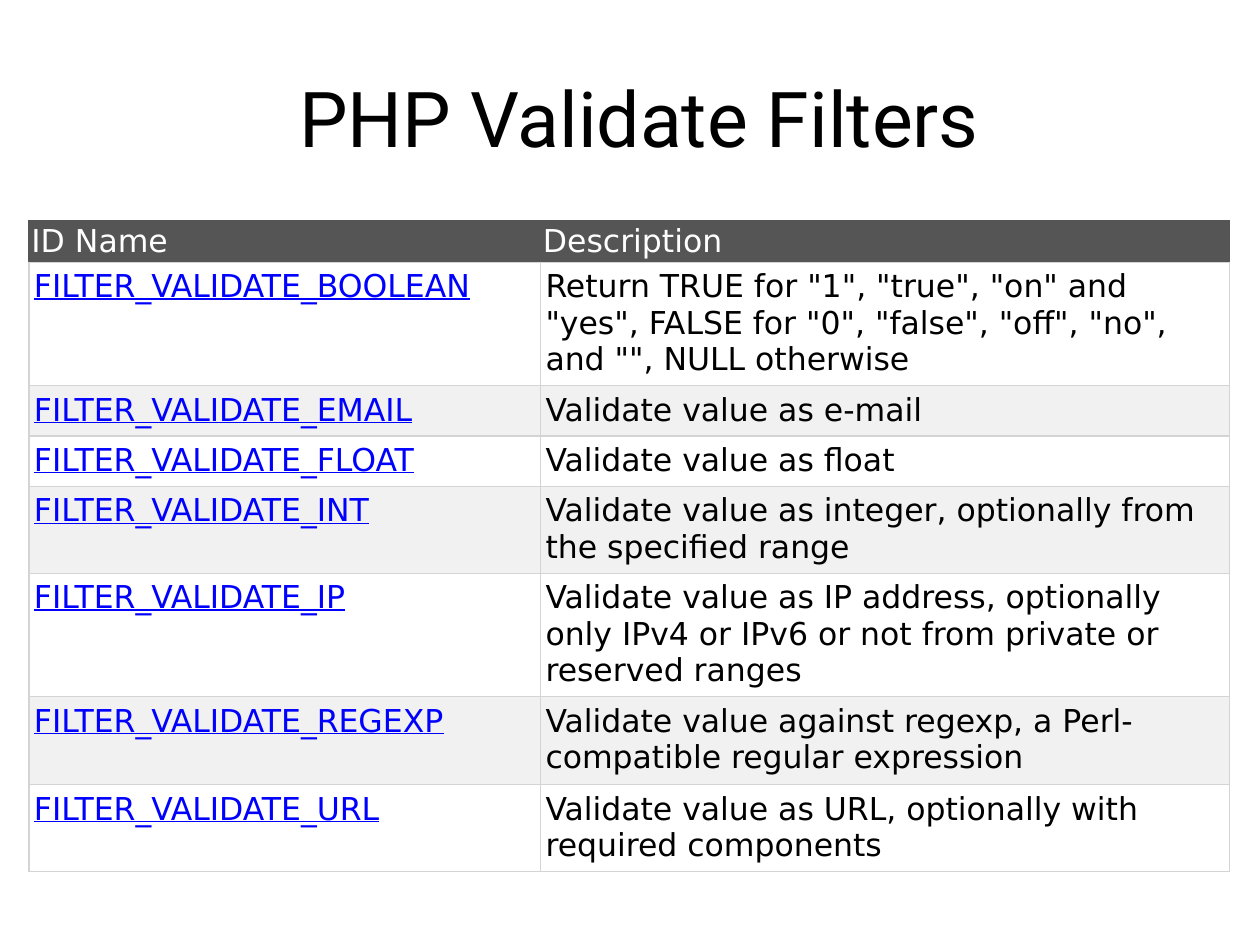
from lxml.etree import SubElement
from pptx import Presentation
from pptx.dml.color import RGBColor
from pptx.enum.text import MSO_ANCHOR, PP_ALIGN
from pptx.oxml.ns import qn
from pptx.util import Inches, Pt

WIDTH, HEIGHT = 10, 7.5
COLUMN_WIDTHS = (4.06, 5.47)
ROW_HEIGHTS = (0.33, 0.98, 0.4, 0.4, 0.69, 0.98, 0.7, 0.69)
HEADER_FILL, GRID_LINE = "555555", "D4D4D4"
BAND_FILLS = ("F1F1F1", "FFFFFF")
BODY_COLORS = ("0000FF", "000000")
HEADINGS = ("ID Name", "Description")
FILTERS = (
    ("BOOLEAN", 'Return TRUE for "1", "true", "on" and "yes", FALSE for "0", "false", "off", "no", and "", NULL otherwise'),
    ("EMAIL", "Validate value as e-mail"),
    ("FLOAT", "Validate value as float"),
    ("INT", "Validate value as integer, optionally from the specified range"),
    ("IP", "Validate value as IP address, optionally only IPv4 or IPv6 or not from private or reserved ranges"),
    ("REGEXP", "Validate value against regexp, a Perl-compatible regular expression"),
    ("URL", "Validate value as URL, optionally with required components"),
)


def color(value):
    """Turn a hex string into a colour."""
    return RGBColor.from_string(value)


def style_font(font, name, size, value):
    """Set the family, size and colour of a font."""
    font.name, font.size = name, Pt(size)
    font.color.rgb = color(value)


def add_title(page, text):
    """Fill and place the title placeholder."""
    title = page.shapes.title
    title.left, title.top = Inches(WIDTH * 0.05), Inches(HEIGHT * 0.04)
    title.width, title.height = Inches(WIDTH * 0.9), Inches(1.25)
    title.text_frame.text = text
    title.text_frame.vertical_anchor = MSO_ANCHOR.MIDDLE
    para = title.text_frame.paragraphs[0]
    para.alignment = PP_ALIGN.CENTER
    style_font(para.font, "Roboto", 44, "000000")


def set_borders(cell, side_color, top_color):
    """Draw thin cell borders, with the grid colour at the bottom."""
    properties = cell._tc.get_or_add_tcPr()
    sides = (("L", side_color), ("R", side_color), ("T", top_color), ("B", GRID_LINE))
    for index, (side, value) in enumerate(sides):
        line = SubElement(properties, qn(f"a:ln{side}"), w=str(Pt(0.75)))
        SubElement(SubElement(line, qn("a:solidFill")), qn("a:srgbClr"), val=value)
        properties.insert(index, line)


def fill_cell(cell, text, fill, text_color, margins, underline=False):
    """Write one table cell with its fill, margins and font."""
    cell.text = text
    cell.fill.solid()
    cell.fill.fore_color.rgb = color(fill)
    cell.margin_left = cell.margin_right = Inches(margins[0])
    cell.margin_top = cell.margin_bottom = Inches(margins[1])
    font = cell.text_frame.paragraphs[0].font
    style_font(font, "DejaVu Sans", 18, text_color)
    font.underline = underline


def add_filter_table(page):
    """Add the table of filters with a dark header and banded rows."""
    table = page.shapes.add_table(
        len(ROW_HEIGHTS), len(COLUMN_WIDTHS), Inches(0.23), Inches(1.75),
        Inches(sum(COLUMN_WIDTHS)), Inches(sum(ROW_HEIGHTS))).table
    for column, width in zip(table.columns, COLUMN_WIDTHS):
        column.width = Inches(width)
    for row, height in zip(table.rows, ROW_HEIGHTS):
        row.height = Inches(height)
    for cell, heading in zip(table.rows[0].cells, HEADINGS):
        fill_cell(cell, heading, HEADER_FILL, "FFFFFF", (0.02, 0.02))
        set_borders(cell, HEADER_FILL, HEADER_FILL)
    for number, (name, description) in enumerate(FILTERS, start=1):
        texts = (f"FILTER_VALIDATE_{name}", description)
        for column, text in enumerate(texts):
            cell = table.cell(number, column)
            fill_cell(cell, text, BAND_FILLS[number % 2], BODY_COLORS[column],
                      (0.04, 0.05), underline=column == 0)
            set_borders(cell, GRID_LINE, GRID_LINE)


def main():
    """Build and save the deck."""
    deck = Presentation()
    deck.slide_width, deck.slide_height = Inches(WIDTH), Inches(HEIGHT)
    page = deck.slides.add_slide(deck.slide_layouts.get_by_name("Title Only"))
    add_title(page, " PHP Validate Filters")
    add_filter_table(page)
    deck.save("out.pptx")


if __name__ == "__main__":
    main()
